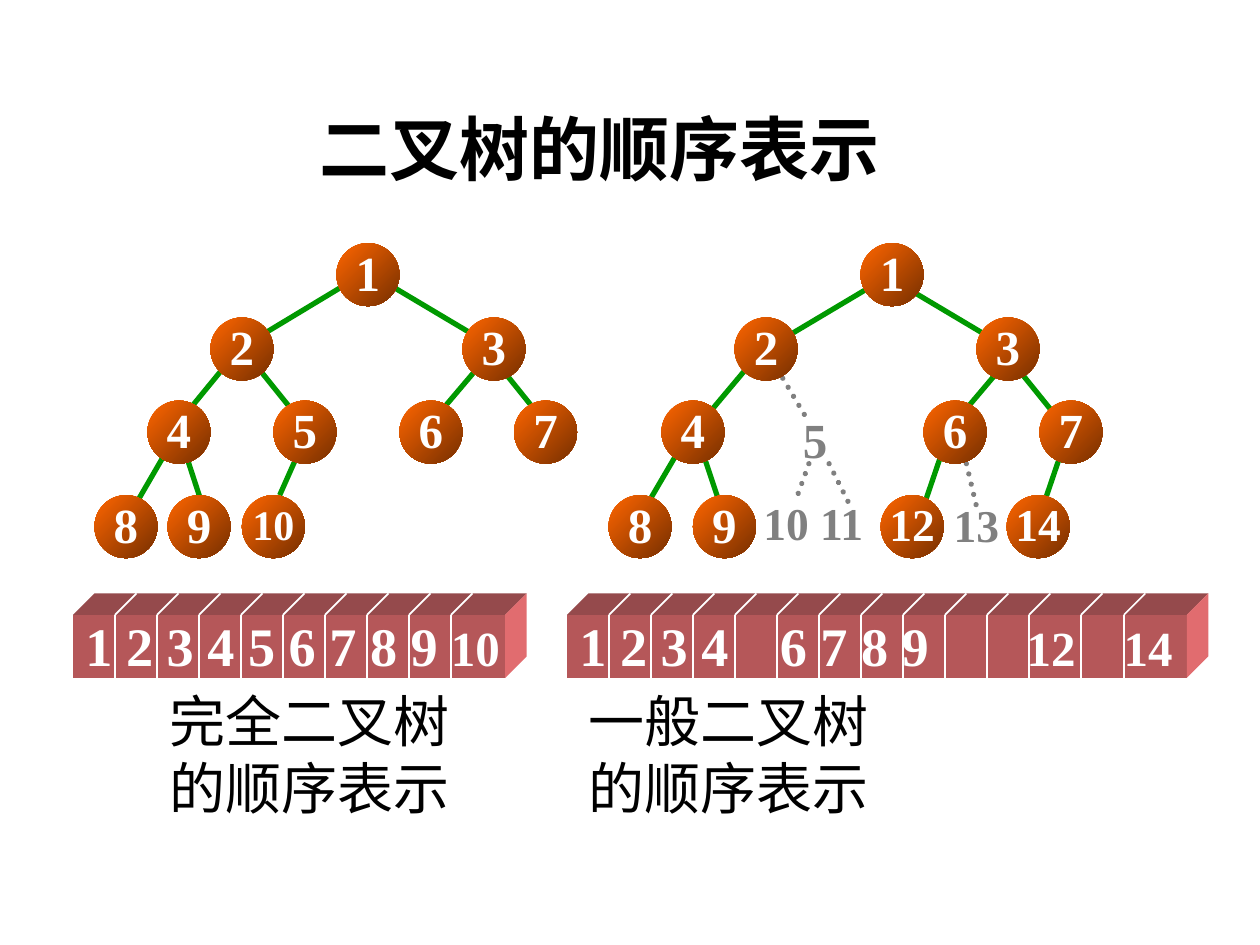
"""Build a slide on the sequential storage of binary trees."""
from lxml import etree
from pptx import Presentation
from pptx import util as u
from pptx.dml.color import RGBColor
from pptx.enum import dml, shapes, text
from pptx.oxml.ns import qn

HUES = {"ink": "000000", "white": "FFFFFF", "edge": "009900", "gray": "808080",
        "lit": "FF6600", "deep": "762F00",
        "front": "B55759", "top": "954A4C", "side": "E16C6F"}
RGB = {name: RGBColor.from_string(hue) for name, hue in HUES.items()}
SERIF, SANS = "Times New Roman", "Noto Sans CJK SC"
DEPTH = 0.17

deck = Presentation()
deck.slide_width, deck.slide_height = u.Inches(10), u.Inches(7.5)
slide = deck.slides.add_slide(deck.slide_layouts[6])
items = slide.shapes


def link(ends, hue, width, dots=False):
    line = items.add_connector(shapes.MSO_CONNECTOR.STRAIGHT, *map(u.Inches, ends))
    line.line.color.rgb = RGB[hue]
    line.line.width = u.Pt(width)
    if dots:
        line.line.dash_style = dml.MSO_LINE.ROUND_DOT
        line.line._ln.set("cap", "rnd")
    etree.SubElement(line._element.spPr, qn("a:effectLst"))


def write(shape, rows, size, hue, face=SERIF, bold=True, mid=True, tabs=()):
    frame = shape.text_frame
    frame.word_wrap = False
    frame.vertical_anchor = text.MSO_ANCHOR.MIDDLE if mid else text.MSO_ANCHOR.TOP
    for num, row in enumerate(rows):
        para = frame.add_paragraph() if num else frame.paragraphs[0]
        for part, own in row:
            run = para.add_run()
            run.text = part
            if own:
                run.font.size = u.Pt(own)
        font = para.font
        font.name, font.size, font.bold = face, u.Pt(size), bold
        font.color.rgb = RGB[hue]
        if tabs:
            stops = etree.Element(qn("a:tabLst"))
            for stop in tabs:
                etree.SubElement(stops, qn("a:tab"), pos=str(u.Inches(stop)), algn="l")
            para._p.get_or_add_pPr().insert(0, stops)
    return frame


box = items.add_textbox(*map(u.Inches, (1.25, 5.4, 7.25, 1.17)))
write(box, [[("完全二叉树\t一般二叉树", None)], [("的顺序表示\t的顺序表示", None)]],
      32, "ink", SANS, False, False, (3.32,))
box = items.add_textbox(*map(u.Inches, (2.44, 0.79, 5, 0.92)))
write(box, [[("二叉树的顺序表示", None)]], 40, "ink", mid=False)

edges = [
    (2.79, 2.23, 1.96, 2.73), (3.04, 2.23, 3.83, 2.7),
    (1.79, 2.9, 1.38, 3.4), (1.96, 2.81, 2.33, 3.27),
    (3.85, 2.85, 3.46, 3.31), (3.96, 2.9, 4.29, 3.31),
    (1.38, 3.48, 1.09, 3.98), (1.46, 3.56, 1.61, 4.02), (2.42, 3.48, 2.22, 3.93),
    (6.92, 2.27, 6.08, 2.77), (7.17, 2.27, 7.96, 2.74),
    (5.92, 2.93, 5.5, 3.43), (7.97, 2.89, 7.58, 3.35), (8.08, 2.93, 8.42, 3.35),
    (5.42, 3.52, 5.08, 4.1), (5.58, 3.6, 5.73, 4.05),
    (7.5, 3.52, 7.33, 4.02), (8.42, 3.6, 8.25, 4.1)]
for ends in edges:
    link(ends, "edge", 3)
for ends in [(6.17, 2.93, 6.42, 3.35), (6.42, 3.68, 6.33, 3.93),
             (6.58, 3.68, 6.75, 4.02), (7.67, 3.68, 7.75, 4.02)]:
    link(ends, "gray", 3, True)

levels = [
    (1.93, [(1, 2.67), (1, 6.83)]),
    (2.52, [(2, 1.67), (3, 3.67), (2, 5.83), (3, 7.75)]),
    (3.18, [(4, 1.17), (5, 2.17), (6, 3.17), (7, 4.08),
            (4, 5.25), (6, 7.33), (7, 8.25)]),
    (3.93, [(8, 0.75), (9, 1.33), (10, 1.92),
            (8, 4.83), (9, 5.5), (12, 6.99), (14, 7.99)])]
sizes = {10: 24, 12: 26, 14: 26}
for top, nodes in levels:
    for key, left in nodes:
        node = items.add_shape(shapes.MSO_SHAPE.OVAL,
                               *map(u.Inches, (left, top, 0.5, 0.5)))
        node.shadow.inherit = False
        node.line.fill.background()
        node.fill.gradient()
        node.fill.gradient_angle = 315
        for stop, hue in zip(node.fill.gradient_stops, ("lit", "deep")):
            stop.color.rgb = RGB[hue]
        frame = write(node, [[(str(key), None)]], sizes.get(key, 28), "white")
        frame.margin_left = frame.margin_right = frame.margin_top = 0
        frame.margin_bottom = u.Inches(0.05)
        frame.paragraphs[0].alignment = text.PP_ALIGN.CENTER

for label, size, spot in [("5", 28, (6.27, 3.2, 0.4, 0.57)),
                          ("10 11", 26, (5.95, 3.88, 1.01, 0.53)),
                          ("13", 26, (7.47, 3.9, 0.56, 0.53))]:
    box = items.add_textbox(*map(u.Inches, spot))
    frame = write(box, [[(label, None)]], size, "gray")
    frame.paragraphs[0].alignment = text.PP_ALIGN.CENTER

bars = [
    (0.58, 3.43, [0.58 + i / 3 for i in range(1, 10)],
     [("1 2 3 4 5 6 7 8 9", 31), ("\t10", 28)], (2.9,)),
    (4.5, 4.92, [4.5 + i / 3 for i in range(1, 12)] + [8.58, 8.92],
     [("1 2 3 4\t6 7 8 9", 31), ("\t12\t14", 28)], (1.59, 3.55, 4.32))]
high, low = 4.88, 5.38
for left, width, cuts, runs, tabs in bars:
    right = left + width
    front = items.add_shape(shapes.MSO_SHAPE.RECTANGLE,
                            *map(u.Inches, (left, high, width, low - high)))
    faces = [(front, "front")]
    outer = (right + DEPTH, high - DEPTH)
    for hue, spots in [
            ("top", [(left, high), (left + DEPTH, high - DEPTH), outer, (right, high)]),
            ("side", [(right, high), outer, (right + DEPTH, low - DEPTH), (right, low)])]:
        ring = [(u.Inches(x), u.Inches(y)) for x, y in spots]
        form = items.build_freeform(*ring[0])
        form.add_line_segments(ring[1:])
        faces.append((form.convert_to_shape(), hue))
    for face, hue in faces:
        face.shadow.inherit = False
        face.fill.solid()
        face.fill.fore_color.rgb = RGB[hue]
        face.line.fill.background()
    for cut in cuts:
        link((cut, high, cut, low), "white", 1.5)
        link((cut, high, cut + DEPTH, high - DEPTH), "white", 1)
    box = items.add_textbox(*map(u.Inches, (left, 4.8, width + 0.2, 0.63)))
    frame = write(box, [runs], 31, "white", tabs=tabs)
    frame.margin_right = 0

deck.save("out.pptx")
